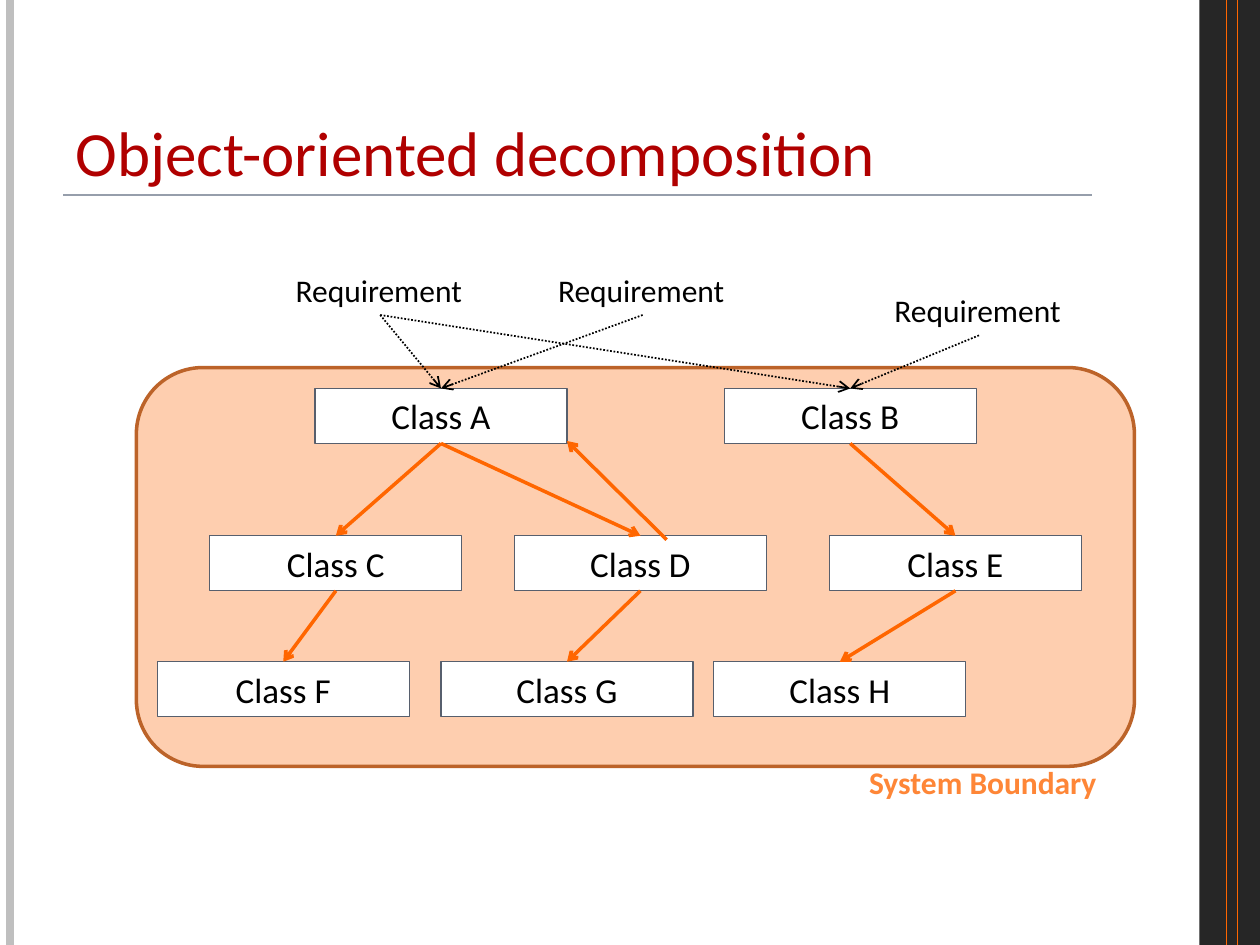
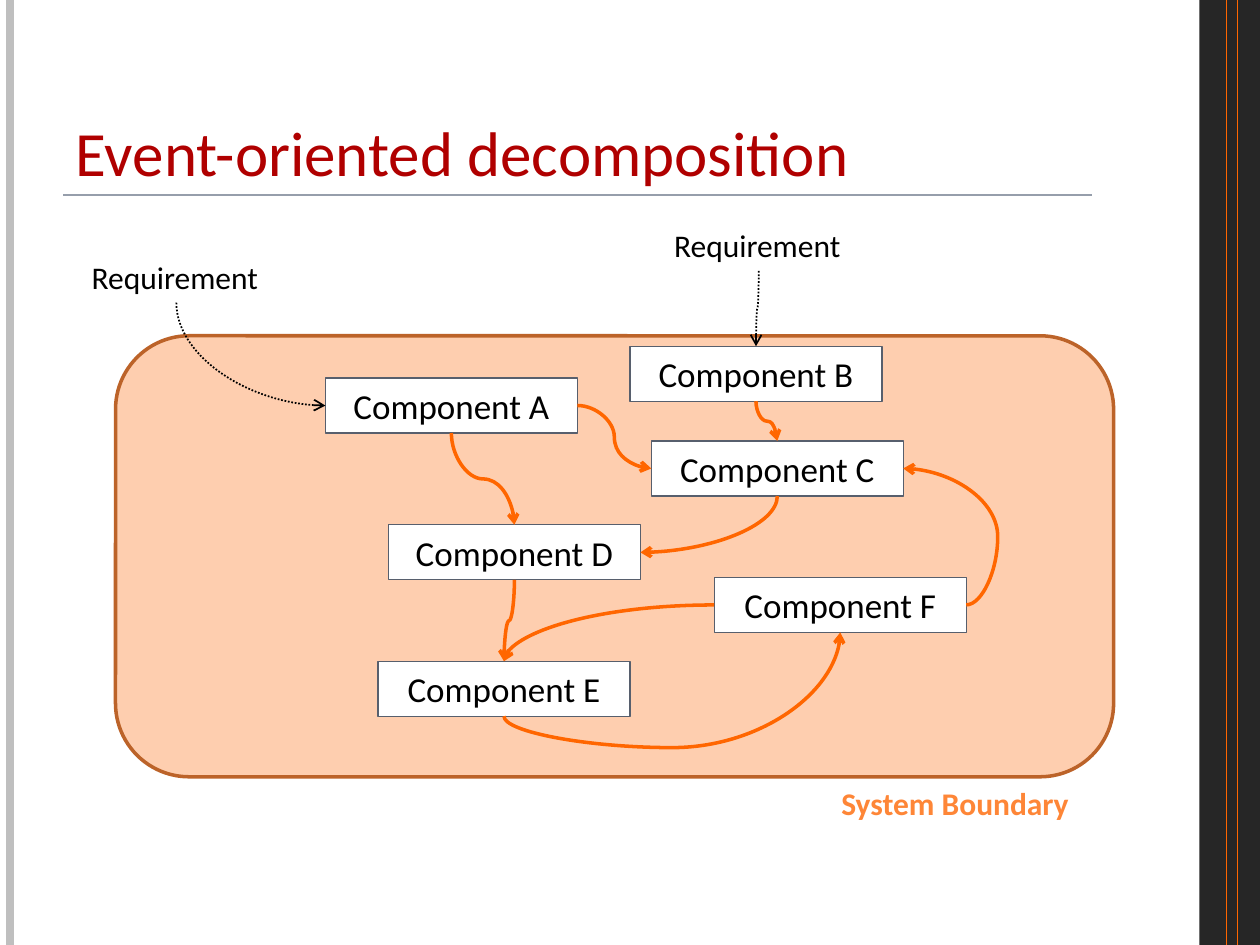
from dataclasses import dataclass

from lxml import etree
from pptx import Presentation
from pptx.dml.color import RGBColor
from pptx.enum.dml import MSO_LINE
from pptx.enum.shapes import MSO_CONNECTOR, MSO_SHAPE
from pptx.enum.text import MSO_ANCHOR, MSO_AUTO_SIZE, PP_ALIGN
from pptx.oxml.ns import qn
from pptx.util import Cm, Pt

RECT, ROUND_RECT = MSO_SHAPE.RECTANGLE, MSO_SHAPE.ROUNDED_RECTANGLE
STRAIGHT, CURVE = MSO_CONNECTOR.STRAIGHT, MSO_CONNECTOR.CURVE
GROW = MSO_AUTO_SIZE.SHAPE_TO_FIT_TEXT
TOP, LEFT, BOTTOM, RIGHT = range(4)


@dataclass(frozen=True)
class Theme:
    font: str = "Calibri"
    title: str = "B00000"
    text: str = "000000"
    paper: str = "FFFFFF"
    accent: str = "FF6600"
    boundary: str = "FE8637"
    boundary_line: str = "BC6329"
    box_line: str = "575F6D"
    band: str = "262626"
    left_rule: str = "BFBFBF"
    title_rule: str = "969EAB"
    title_size: int = 36
    box_size: int = 20
    label_size: int = 18
    boundary_alpha: int = 40


THEME = Theme()
SLIDE_W, SLIDE_H = 25.4, 19.05
BOX_W, BOX_H = 5.08, 1.11
REQUIREMENT_W, LABEL_W, LABEL_H = 3.91, 8.13, 1.02

# Positions are in cm from the top left corner of the system boundary.
# A link is (from, side, to, side) with an optional bend position.
OBJECT_VIEW = {
    "title": "Object-oriented decomposition",
    "kind": "Class",
    "boundary": (2.75, 7.41, 20.12, 8.04),
    "label": (14.52, 7.85),
    "requirements": {"R1": (2.96, -2.08), "R2": (8.25, -2.08),
                     "R3": (15.03, -1.67)},
    "boxes": {"A": (3.6, 0.42), "B": (11.85, 0.42),
              "C": (1.48, 3.39), "D": (7.62, 3.39), "E": (13.97, 3.39),
              "F": (0.42, 5.93), "G": (6.14, 5.93), "H": (11.64, 5.93)},
    "style": STRAIGHT,
    "links": [(start, BOTTOM, end, TOP) for start, end in (
        ("R1", "A"), ("R2", "A"), ("R1", "B"), ("R3", "B"),
        ("A", "C"), ("A", "D"), ("B", "E"),
        ("C", "F"), ("D", "G"), ("E", "H"))],
    "free_arrows": [(10.69, 3.47, 8.68, 1.48)],
}
EVENT_VIEW = {
    "title": "Event-oriented decomposition",
    "kind": "Component",
    "boundary": (2.33, 6.77, 20.12, 8.89),
    "label": (14.38, 8.92),
    "requirements": {"R1": (-0.73, -1.69), "R2": (11.01, -2.33)},
    "boxes": {"A": (4.23, 0.85), "B": (10.37, 0.21), "C": (10.8, 2.12),
              "D": (5.5, 3.81), "F": (12.07, 4.87), "E": (5.29, 6.56)},
    "style": CURVE,
    "links": [("R1", BOTTOM, "A", LEFT), ("R2", BOTTOM, "B", TOP),
              ("A", BOTTOM, "D", TOP), ("A", RIGHT, "C", LEFT),
              ("C", BOTTOM, "D", RIGHT), ("B", BOTTOM, "C", TOP),
              ("E", BOTTOM, "F", BOTTOM, -0.375),
              ("F", RIGHT, "C", RIGHT, -0.5),
              ("D", BOTTOM, "E", TOP), ("F", LEFT, "E", TOP)],
    "free_arrows": [],
}


def rgb(color):
    return RGBColor.from_string(color)


def write(frame, text, size, color, bold=False, align=PP_ALIGN.LEFT):
    paragraph = frame.paragraphs[0]
    paragraph.alignment = align
    run = paragraph.add_run()
    run.text = text
    font = run.font
    font.name, font.size, font.bold = THEME.font, Pt(size), bold
    font.color.rgb = rgb(color)


def add_panel(slide, preset, box, fill, line=None, width=0.75):
    panel = slide.shapes.add_shape(preset, *map(Cm, box))
    panel.shadow.inherit = False
    panel.fill.solid()
    panel.fill.fore_color.rgb = rgb(fill)
    if line:
        panel.line.color.rgb = rgb(line)
        panel.line.width = Pt(width)
    else:
        panel.line.fill.background()
    return panel


def add_label(slide, box, text, color, bold=False, wrap=True):
    label = slide.shapes.add_textbox(*map(Cm, box))
    frame = label.text_frame
    frame.word_wrap = wrap
    frame.auto_size = GROW
    write(frame, text, THEME.label_size, color, bold)
    return label


def add_line(slide, ends, color, width, style=STRAIGHT):
    line = slide.shapes.add_connector(style, *map(Cm, ends))
    line.line.color.rgb = rgb(color)
    line.line.width = Pt(width)
    etree.SubElement(line.element.spPr, qn("a:effectLst"))
    return line


def add_arrow(slide, ends, style=STRAIGHT, from_requirement=False):
    color, width = (THEME.text, 1) if from_requirement else (THEME.accent, 2)
    arrow = add_line(slide, ends, color, width, style)
    if from_requirement:
        arrow.line.dash_style = MSO_LINE.ROUND_DOT
    outline = arrow.element.spPr.find(qn("a:ln"))
    etree.SubElement(outline, qn("a:tailEnd"), type="arrow")
    return arrow


def bend(arrow, begin_side, end_side, position):
    """Give a curved arrow the form that leaves and enters by these sides."""
    geometry = arrow.element.spPr.find(qn("a:prstGeom"))
    if begin_side % 2 != end_side % 2:
        geometry.set("prst", "curvedConnector2")
    else:
        etree.SubElement(geometry.find(qn("a:avLst")), qn("a:gd"),
                         name="adj1", fmla=f"val {round(position * 100000)}")
    if begin_side in (TOP, BOTTOM):
        # The preset leaves sideways, so a quarter turn makes it leave downwards
        x1, y1, x2, y2 = arrow.begin_x, arrow.begin_y, arrow.end_x, arrow.end_y
        mid_x, mid_y = (x1 + x2) // 2, (y1 + y2) // 2
        half_w, half_h = (x2 - x1) // 2, (y2 - y1) // 2
        arrow.begin_x, arrow.end_x = mid_x - half_h, mid_x + half_h
        arrow.begin_y, arrow.end_y = mid_y + half_w, mid_y - half_w
        arrow.element.spPr.find(qn("a:xfrm")).set("rot", "5400000")


def add_link(slide, nodes, style, start, begin_side, end, end_side, position=0.5):
    arrow = add_arrow(slide, (0, 0, 1, 1), style, start.startswith("R"))
    arrow.begin_connect(nodes[start], begin_side)
    arrow.end_connect(nodes[end], end_side)
    if style == CURVE:
        bend(arrow, begin_side, end_side, position)


def dress_master(prs, slide):
    """Draw the shared band and rules, then hand them to the slide master."""
    parts = [add_panel(slide, RECT, (24.18, 0, 1.22, SLIDE_H), THEME.band)]
    for ends, color, width in (
            ((0.21, 0, 0.21, SLIDE_H), THEME.left_rule, 4.5),
            ((24.72, 0, 24.72, SLIDE_H), THEME.accent, 0.75),
            ((24.94, 0, 24.94, SLIDE_H), THEME.accent, 0.75),
            ((1.27, 3.93, 22.01, 3.93), THEME.title_rule, 1)):
        parts.append(add_line(slide, ends, color, width))
    for number, part in enumerate(parts, start=100):
        part.element.xpath(".//p:cNvPr")[0].set("id", str(number))
        prs.slide_master.shapes.element.append(part.element)


def add_title(slide, box, text):
    title = slide.shapes.title
    title.left, title.top, title.width, title.height = map(Cm, box)
    title.text_frame.vertical_anchor = MSO_ANCHOR.BOTTOM
    write(title.text_frame, text, THEME.title_size, THEME.title)


def add_system(slide, box, view):
    left, top = box[:2]

    def place(spot, width, height):
        return left + spot[0], top + spot[1], width, height

    # Boundary and its caption
    boundary = add_panel(slide, ROUND_RECT, box, THEME.boundary,
                         THEME.boundary_line, 2)
    tint = boundary.element.spPr.find(qn("a:solidFill"))[0]
    etree.SubElement(tint, qn("a:alpha"), val=str(THEME.boundary_alpha * 1000))
    add_label(slide, place(view["label"], LABEL_W, LABEL_H),
              "System Boundary", THEME.boundary, bold=True)

    # Requirements and the parts of the system
    nodes = {}
    for key, spot in view["requirements"].items():
        nodes[key] = add_label(slide, place(spot, REQUIREMENT_W, LABEL_H),
                               "Requirement", THEME.text, wrap=False)
    for letter, spot in view["boxes"].items():
        node = add_panel(slide, RECT, place(spot, BOX_W, BOX_H),
                         THEME.paper, THEME.box_line)
        node.text_frame.auto_size = GROW
        write(node.text_frame, f"{view['kind']} {letter}", THEME.box_size,
              THEME.text, align=PP_ALIGN.CENTER)
        nodes[letter] = node

    # Arrows
    for link in view["links"]:
        add_link(slide, nodes, view["style"], *link)
    for x1, y1, x2, y2 in view["free_arrows"]:
        add_arrow(slide, (left + x1, top + y1, left + x2, top + y2))


def main():
    prs = Presentation()
    prs.slide_width, prs.slide_height = Cm(SLIDE_W), Cm(SLIDE_H)
    title_only = prs.slide_layouts[5]
    for number, view in enumerate((OBJECT_VIEW, EVENT_VIEW)):
        slide = prs.slides.add_slide(title_only)
        if number == 0:
            dress_master(prs, slide)
        add_title(slide, (1.27, 0.76, 20.74, 3.17), view["title"])
        add_system(slide, view["boundary"], view)
    prs.save("out.pptx")


if __name__ == "__main__":
    main()
